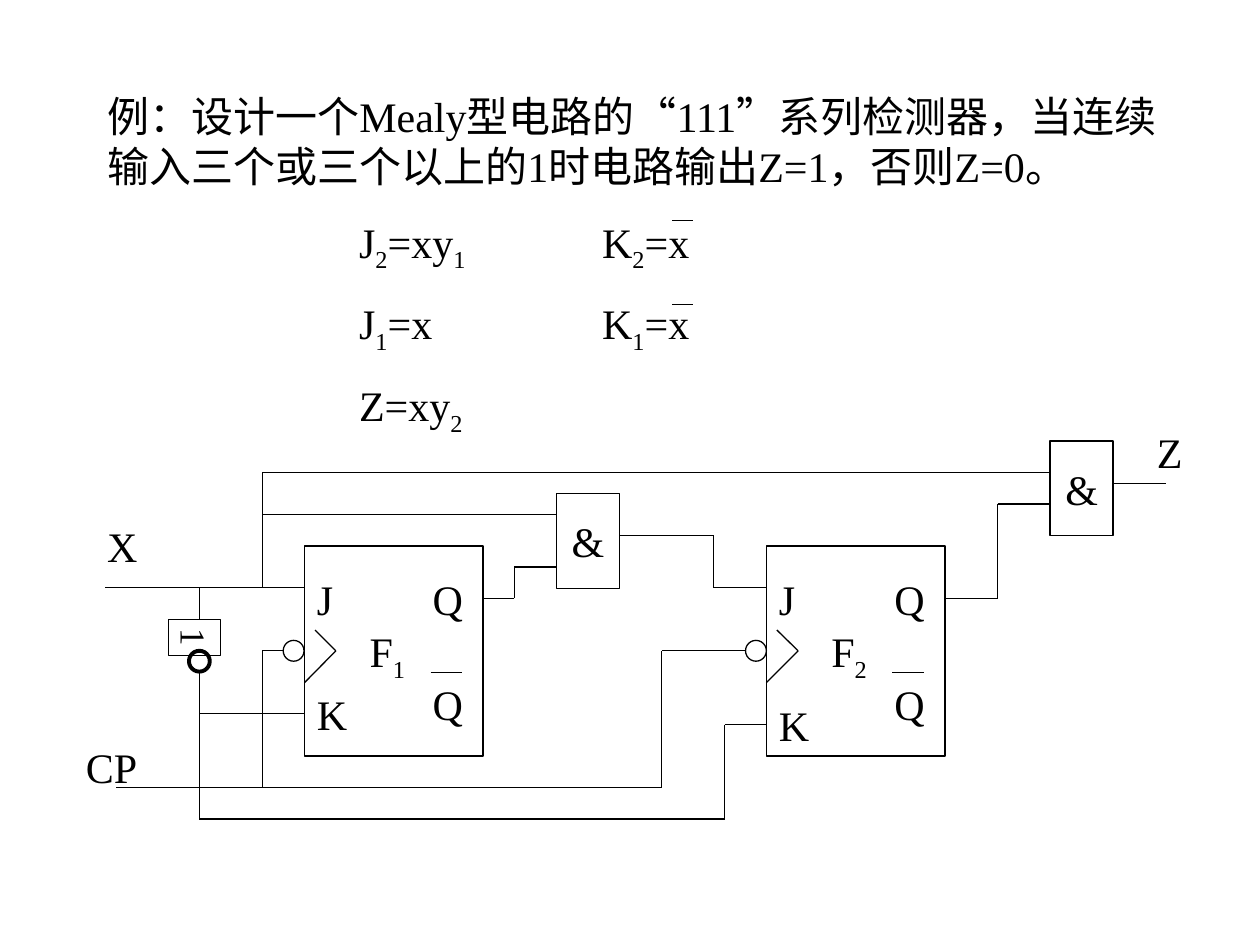
"""Build a slide with the logic circuit of a Mealy "111" sequence detector."""
from itertools import pairwise

from lxml.etree import SubElement
from pptx import Presentation
from pptx.dml.color import RGBColor
from pptx.enum.shapes import MSO_CONNECTOR, MSO_SHAPE
from pptx.enum.text import MSO_ANCHOR, MSO_AUTO_SIZE, PP_ALIGN
from pptx.oxml.ns import qn
from pptx.util import Cm, Pt

COLORS = {"ink": "000000"}
INK = RGBColor.from_string(COLORS["ink"])
GRID = 2.54 / 12
FLIP_FLOPS = {"1": 29, "2": 73}


def place(units):
    return [Cm(round(unit * GRID, 2)) for unit in units]


def write(paragraph, text, size=24):
    """Write text in which an underscore lowers the next character."""
    plain, *lowered = text.split("_")
    pieces = [(plain, False)]
    for part in lowered:
        pieces += [(part[0], True), (part[1:], False)]
    for piece, is_subscript in pieces:
        if piece:
            run = paragraph.add_run()
            run.text = piece
            for name, value in {"name": "Times New Roman", "size": Pt(size), "bold": False}.items():
                setattr(run.font, name, value)
            run.font.color.rgb = INK
            if is_subscript:
                run.font._element.set("baseline", "-25000")


presentation = Presentation()
presentation.slide_width, presentation.slide_height = Cm(25.4), Cm(19.05)
slide = presentation.slides.add_slide(presentation.slide_layouts[5])

title = slide.shapes.title
title.left, title.top, title.width, title.height = place((9, 8, 106, 10.8))
title_format = {"vertical_anchor": MSO_ANCHOR.TOP, "auto_size": MSO_AUTO_SIZE.NONE, "word_wrap": True}
for name, value in title_format.items():
    setattr(title.text_frame, name, value)
title.text_frame.paragraphs[0].alignment = PP_ALIGN.LEFT
write(
    title.text_frame.paragraphs[0],
    "例：设计一个Mealy型电路的“111”系列检测器，当连续输入三个或三个以上的1时电路输出Z=1，否则Z=0。",
)

formulas = slide.shapes.add_textbox(*place((33, 20, 42, 20.4))).text_frame
formulas.word_wrap = True
for index, formula in enumerate(["J_2=xy_1\tK_2=x", "J_1=x\tK_1=x", "Z=xy_2"]):
    paragraph = formulas.add_paragraph() if index else formulas.paragraphs[0]
    if index:
        paragraph.space_before = Pt(14)
    tabs = SubElement(paragraph._p.get_or_add_pPr(), qn("a:tabLst"))
    SubElement(tabs, qn("a:tab"), pos=str(Cm(4.9)), algn="l")
    write(paragraph, formula)

rectangle, oval = MSO_SHAPE.RECTANGLE, MSO_SHAPE.OVAL
outlines = [
    (rectangle, (100, 42, 6, 9), "&", 24, 0, 0.75),
    (rectangle, (53, 47, 6, 9), "&", 24, 0, 0.75),
    (rectangle, (16.8, 58.2, 3.4, 5), "1", 20, 90, 0.75),
    (oval, (18, 62, 2, 2), "", 24, 0, 2.25),
]
labels = [("X", 9, 49, 6), ("CP", 7, 70, 10), ("Z", 109, 40, 6), ("K", 29, 65, 6), ("K", 73, 66, 6)]
wires = [
    [(64, 21), (66, 21)],
    [(64, 29), (66, 29)],
    [(71, 62), (63, 62), (63, 75), (11, 75)],
    [(73, 69), (69, 69), (69, 78), (19, 78), (19, 64)],
    [(25, 75), (25, 62), (27, 62)],
    [(10, 56), (29, 56)],
    [(19, 56), (19, 59)],
    [(19, 68), (29, 68)],
    [(25, 56), (25, 45), (100, 45)],
    [(25, 49), (53, 49)],
    [(46, 57), (49, 57), (49, 54), (53, 54)],
    [(59, 51), (68, 51), (68, 56), (73, 56)],
    [(90, 57), (95, 57), (95, 48), (100, 48)],
    [(106, 46), (111, 46)],
]
for number, left in FLIP_FLOPS.items():
    outlines += [
        (rectangle, (left, 52, 17, 20), "", 24, 0, 0.75),
        (oval, (left - 2, 61, 2, 2), "", 24, 0, 0.75),
    ]
    labels += [
        ("J", left, 54, 6),
        ("Q", left + 11, 54, 6),
        ("Q", left + 11, 64, 6),
        (f"F_{number}", left + 5, 59, 6),
    ]
    wires += [
        [(left + 1, 60), (left + 3, 62), (left, 65)],
        [(left + 12, 64), (left + 15, 64)],
    ]

for preset, box, text, size, rotation, line_width in outlines:
    shape = slide.shapes.add_shape(preset, *place(box))
    shape.rotation = rotation
    shape.shadow.inherit = False
    shape.fill.background()
    shape.line.color.rgb = INK
    shape.line.width = Pt(line_width)
    if text:
        shape.text_frame.word_wrap = False
        shape.text_frame.vertical_anchor = MSO_ANCHOR.MIDDLE
        shape.text_frame.paragraphs[0].alignment = PP_ALIGN.CENTER
        write(shape.text_frame.paragraphs[0], text, size)

for text, left, top, width in labels:
    label = slide.shapes.add_textbox(*place((left, top, width, 6))).text_frame
    label.word_wrap = True
    write(label.paragraphs[0], text)

for wire in wires:
    for start, end in pairwise(wire):
        connector = slide.shapes.add_connector(MSO_CONNECTOR.STRAIGHT, *place(start + end))
        connector.line.color.rgb = INK
        connector.line.width = Pt(0.75)
        SubElement(connector._element.spPr, qn("a:effectLst"))

presentation.save("out.pptx")
